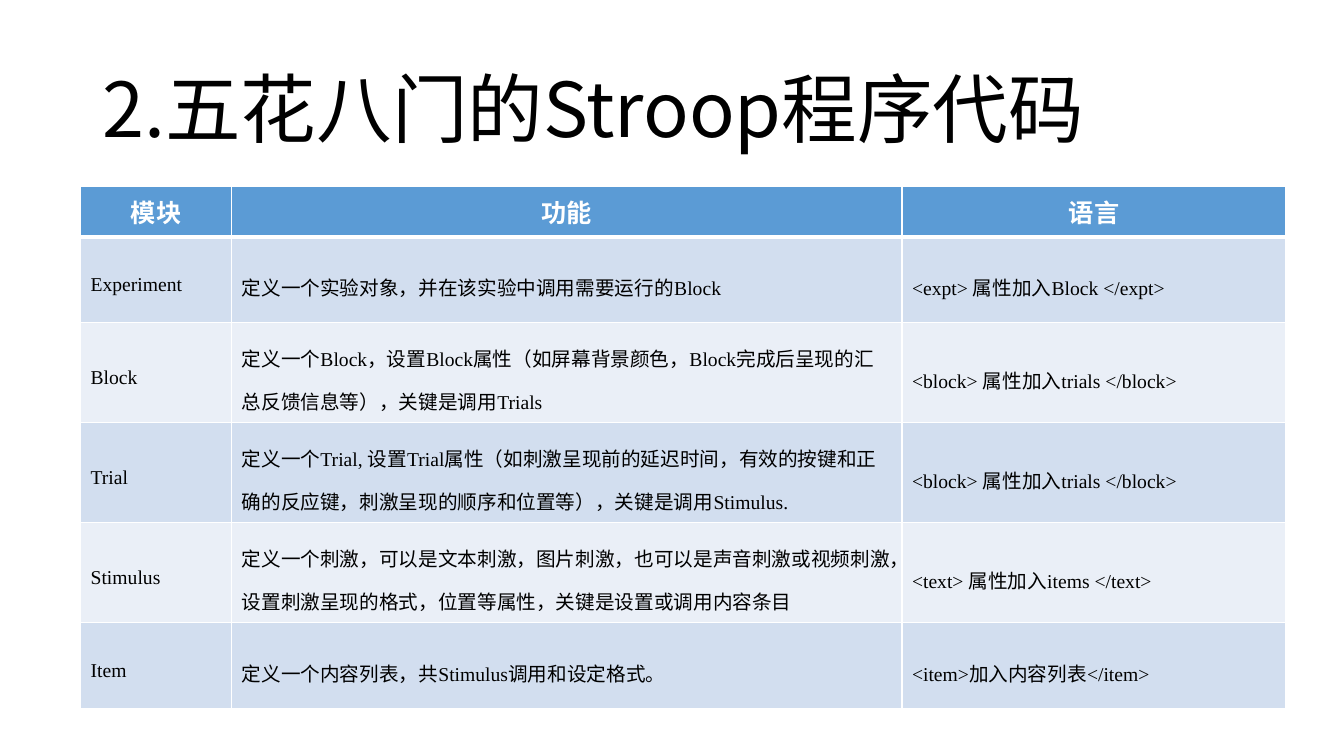
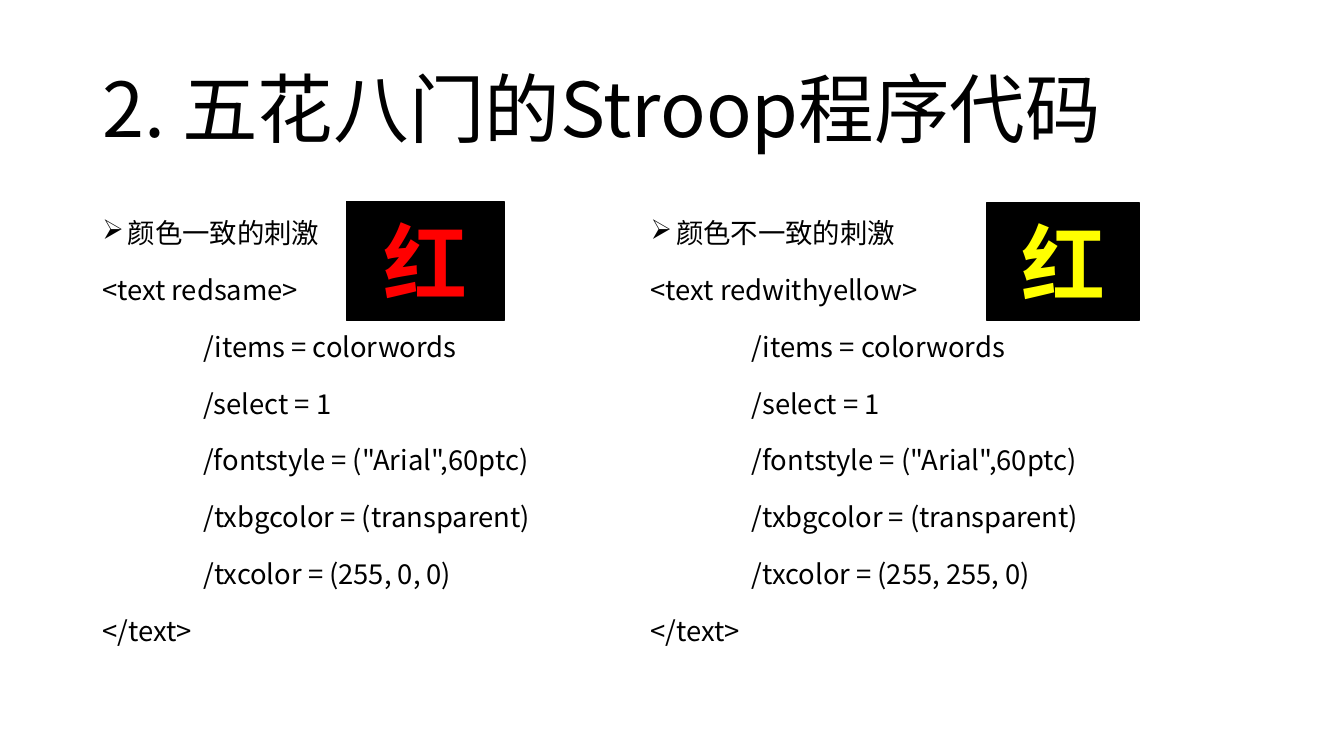
from dataclasses import dataclass

from lxml import etree
from pptx import Presentation
from pptx.dml.color import RGBColor
from pptx.enum.shapes import MSO_SHAPE
from pptx.enum.text import MSO_ANCHOR, PP_ALIGN
from pptx.oxml.ns import qn
from pptx.util import Cm, Pt

RECTANGLE = MSO_SHAPE.RECTANGLE
TOP, MIDDLE = MSO_ANCHOR.TOP, MSO_ANCHOR.MIDDLE
LEFT, CENTER, JUSTIFY = PP_ALIGN.LEFT, PP_ALIGN.CENTER, PP_ALIGN.JUSTIFY


@dataclass(frozen=True)
class Theme:
    """Colours, fonts and type sizes of the deck."""
    black: str = "000000"
    white: str = "FFFFFF"
    red: str = "FF0000"
    yellow: str = "FFFF00"
    header: str = "5B9BD5"
    bands: tuple = ("D2DEEF", "EAEFF7")
    title_font: str = "Noto Sans CJK JP"
    body_font: str = "Noto Sans CJK SC"
    cell_font: str = "Times New Roman"
    title_size: float = 54
    code_size: float = 19.6
    header_size: float = 18
    cell_size: float = 14
    word_size: float = 60


class Deck:
    """Builds slides in one style."""

    def __init__(self, theme):
        self.theme = theme
        self.prs = Presentation()
        self.prs.slide_width, self.prs.slide_height = Cm(33.87), Cm(19.05)

    def add_slide(self, title):
        """Start a slide with its title."""
        self.s = self.prs.slides.add_slide(self.prs.slide_layouts[6])
        tf = self.text_frame(2.33, 1.02, 29.21, 3.68, MIDDLE)
        p = tf.paragraphs[0]
        p.line_spacing = 0.9
        font = self.theme.title_font
        self.set_text(p, title, self.theme.title_size, font, east_asian=font)

    def text_frame(self, x, y, w, h, anchor):
        """Add a wrapping text box and return its frame."""
        tf = self.s.shapes.add_textbox(Cm(x), Cm(y), Cm(w), Cm(h)).text_frame
        tf.word_wrap = True
        tf.vertical_anchor = anchor
        return tf

    def set_text(self, p, text, size, latin=None, color=None, bold=False,
                 align=LEFT, east_asian=None):
        """Fill a paragraph and style it."""
        p.text = text
        p.alignment = align
        p.font.size = Pt(size)
        p.font.bold = bold
        p.font.color.rgb = RGBColor.from_string(color or self.theme.black)
        p.font.name = latin or self.theme.body_font
        props = p._p.pPr.find(qn("a:defRPr"))
        etree.SubElement(props, qn("a:ea"),
                         typeface=east_asian or self.theme.body_font)

    def indent(self, p, left, first=0, bullet=None):
        """Indent a paragraph, with an optional bullet."""
        props = p._p.get_or_add_pPr()
        props.set("marL", str(Cm(left)))
        props.set("indent", str(Cm(first)))
        if bullet:
            mark = etree.Element(qn("a:buChar"), char=bullet)
            props.find(qn("a:defRPr")).addprevious(mark)

    def code(self, x, heading, name, settings):
        """Add a bulleted heading above a block of code."""
        tf = self.text_frame(x, 5.08, 13.82, 12.09, TOP)
        lines = [heading, f"<text {name}>", *settings, "</text>"]
        for i, line in enumerate(lines):
            p = tf.add_paragraph() if i else tf.paragraphs[0]
            p.line_spacing, p.space_before = 1.3, Pt(10)
            self.set_text(p, line, self.theme.code_size, align=JUSTIFY)
            if i == 0:
                self.indent(p, 0.64, -0.64, "➢")
            elif line in settings:
                self.indent(p, 2.54)

    def word_card(self, x, y, w, h, word, color):
        """Add a black card that shows a coloured word."""
        sp = self.s.shapes.add_shape(RECTANGLE, Cm(x), Cm(y), Cm(w), Cm(h))
        sp.shadow.inherit = False
        black = RGBColor.from_string(self.theme.black)
        sp.fill.solid()
        sp.fill.fore_color.rgb = black
        sp.line.color.rgb = black
        sp.line.width = Pt(1)
        tf = sp.text_frame
        tf.vertical_anchor = MIDDLE
        self.set_text(tf.paragraphs[0], word, self.theme.word_size,
                      color=color, bold=True, align=CENTER)

    def borders(self, cell, top, bottom):
        """Draw white borders around a cell."""
        props = cell._tc.get_or_add_tcPr()
        widths = {"lnL": 1, "lnR": 1, "lnT": top, "lnB": bottom}
        for i, (side, width) in enumerate(widths.items()):
            ln = etree.Element(qn(f"a:{side}"), w=str(Pt(width)))
            fill = etree.SubElement(ln, qn("a:solidFill"))
            etree.SubElement(fill, qn("a:srgbClr"), val=self.theme.white)
            props.insert(i, ln)

    def table(self, x, y, widths, heights, rows):
        """Add a table with a header row and banded body."""
        t = self.theme
        table = self.s.shapes.add_table(
            len(rows), len(widths), Cm(x), Cm(y),
            Cm(sum(widths)), Cm(sum(heights))).table
        for column, width in zip(table.columns, widths):
            column.width = Cm(width)
        for i, (row, height) in enumerate(zip(rows, heights)):
            table.rows[i].height = Cm(height)
            for j, text in enumerate(row):
                cell = table.cell(i, j)
                cell.vertical_anchor = MIDDLE
                cell.fill.solid()
                fill = t.bands[(i - 1) % 2] if i else t.header
                cell.fill.fore_color.rgb = RGBColor.from_string(fill)
                self.borders(cell, 3 if i == 1 else 1, 1 if i else 3)
                p = cell.text_frame.paragraphs[0]
                if i:
                    p.line_spacing = 1.5
                    self.set_text(p, text, t.cell_size, t.cell_font)
                else:
                    self.set_text(p, text, t.header_size, color=t.white,
                                  bold=True, align=CENTER)


MODULES = [
    ("模块", "功能", "语言"),
    ("Experiment", "定义一个实验对象，并在该实验中调用需要运行的Block",
     "<expt> 属性加入Block </expt>"),
    ("Block", "定义一个Block，设置Block属性（如屏幕背景颜色，Block完成后呈现的"
     "汇总反馈信息等），关键是调用Trials",
     "<block> 属性加入trials </block>"),
    ("Trial", "定义一个Trial, 设置Trial属性（如刺激呈现前的延迟时间，有效的按键和"
     "正确的反应键，刺激呈现的顺序和位置等），关键是调用Stimulus.",
     "<block> 属性加入trials </block>"),
    ("Stimulus", "定义一个刺激，可以是文本刺激，图片刺激，也可以是声音刺激或视频刺激，"
     "设置刺激呈现的格式，位置等属性，关键是设置或调用内容条目",
     "<text> 属性加入items </text>"),
    ("Item", "定义一个内容列表，共Stimulus调用和设定格式。",
     "<item>加入内容列表</item>"),
]
SETTINGS = ["/items = colorwords", "/select = 1",
            '/fontstyle = ("Arial",60ptc)', "/txbgcolor = (transparent)"]

theme = Theme()
deck = Deck(theme)

deck.add_slide("2.五花八门的Stroop程序代码")
deck.table(2.03, 4.7, [3.81, 16.89, 9.68],
           [1.27, 2.16, 2.52, 2.52, 2.52, 2.16], MODULES)

deck.add_slide("2. 五花八门的Stroop程序代码")
deck.code(2.33, "颜色一致的刺激", "redsame",
          SETTINGS + ["/txcolor = (255, 0, 0)"])
deck.code(16.15, "颜色不一致的刺激", "redwithyellow",
          SETTINGS + ["/txcolor = (255, 255, 0)"])
deck.word_card(8.74, 5.08, 3.96, 3, "红", theme.red)
deck.word_card(24.87, 5.11, 3.84, 2.97, "红", theme.yellow)

deck.prs.save("out.pptx")
